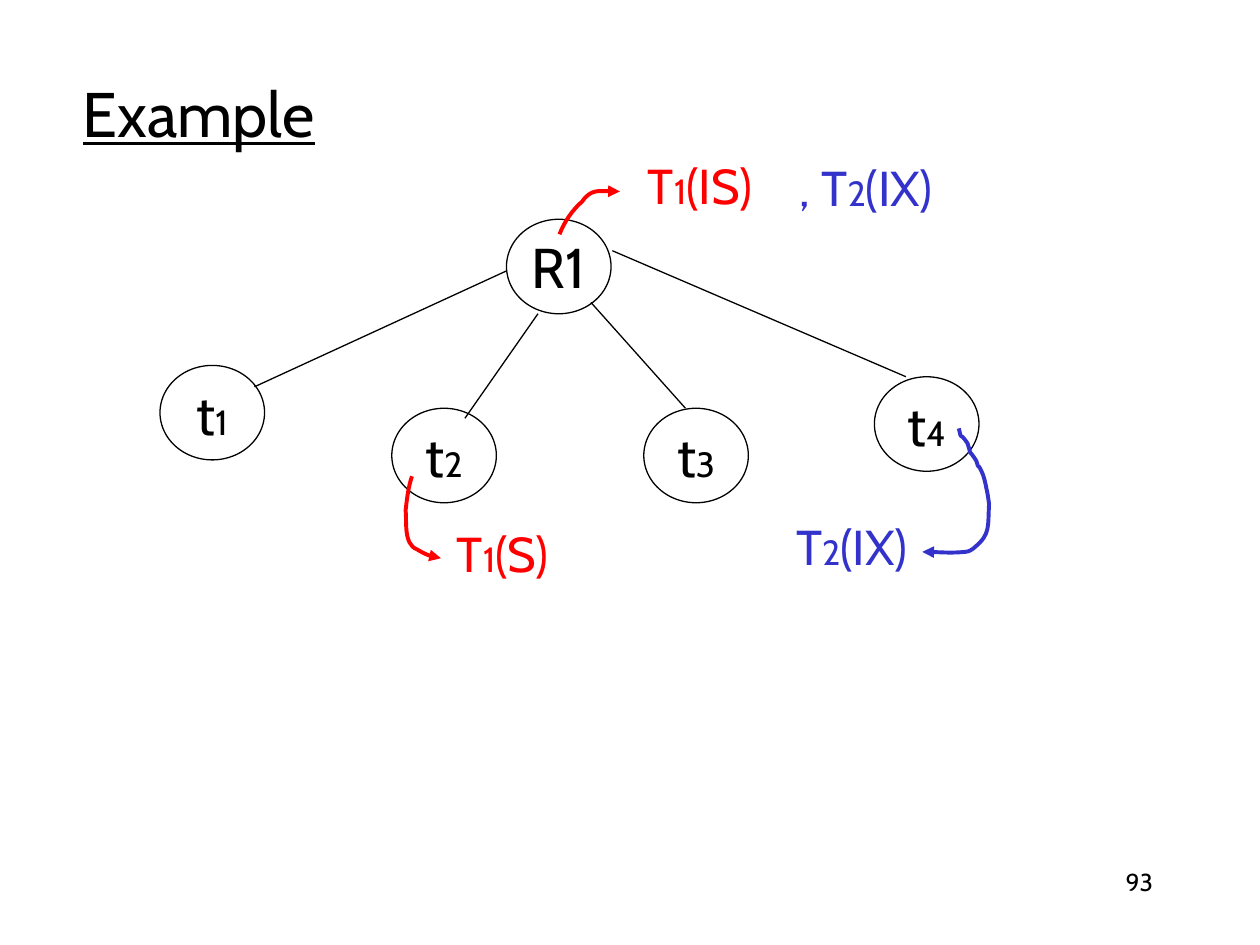
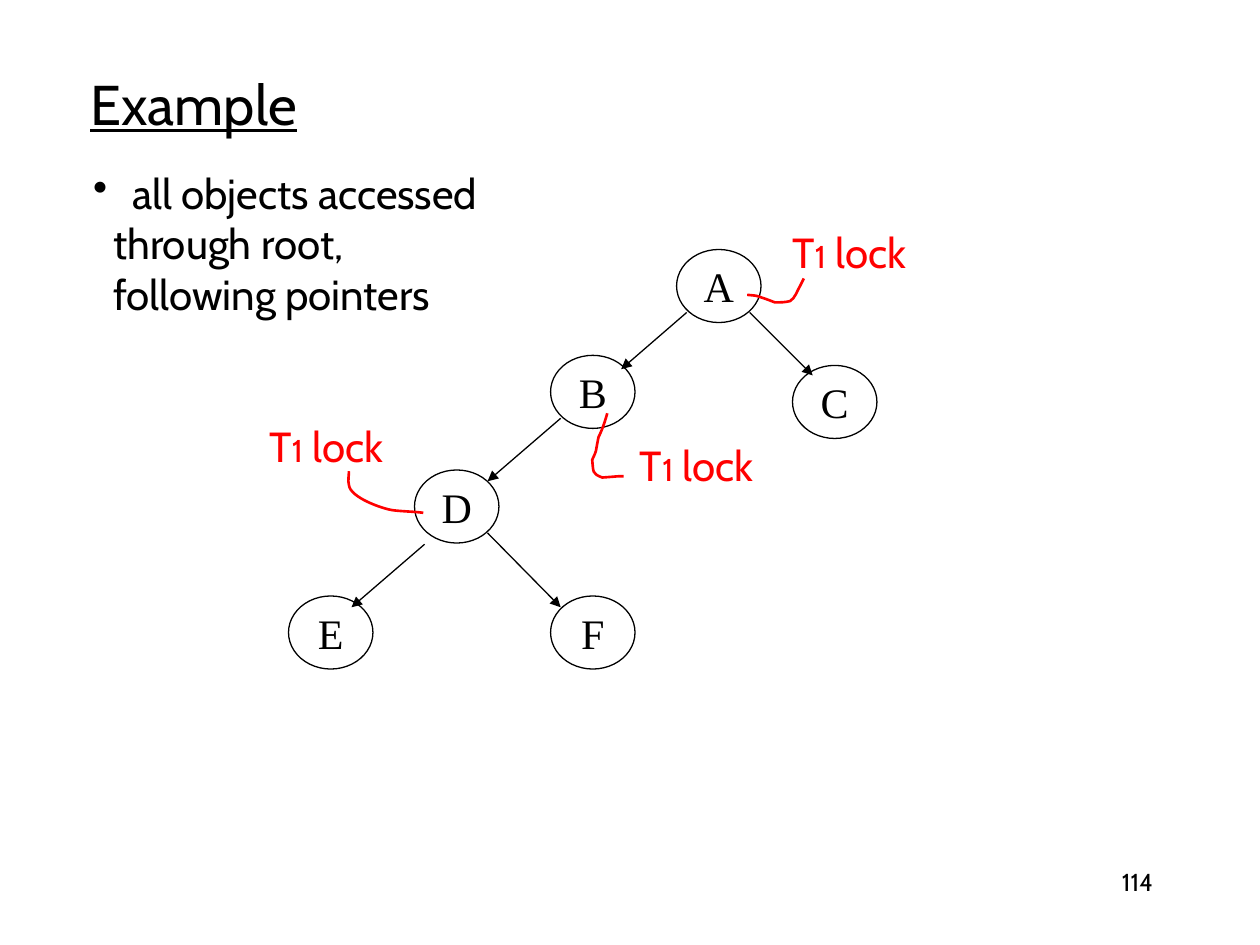
"""Two example slides on locks held in object trees."""
from dataclasses import dataclass

from lxml import etree
from pptx import Presentation
from pptx import util as u
from pptx.dml.color import RGBColor
from pptx.enum import shapes, text
from pptx.oxml.ns import qn


@dataclass(frozen=True)
class Theme:
    black: RGBColor = RGBColor(0, 0, 0)
    white: RGBColor = RGBColor(255, 255, 255)
    red: RGBColor = RGBColor(255, 0, 0)
    blue: RGBColor = RGBColor(0x33, 0x33, 0xCC)
    sans: str = "Cabin"
    serif: str = "Times New Roman"
    number_size: int = 14
    body_size: int = 24
    edge_width: float = 0.75


theme = Theme()


def write(frame, pieces, sizes, align=text.PP_ALIGN.CENTER, color=theme.black, font=theme.sans):
    """Write pieces that alternate between the base size and the subscript size."""
    paragraph = frame.paragraphs[0]
    paragraph.alignment = align
    for index, piece in enumerate(pieces):
        run = paragraph.add_run()
        run.text = piece
        run.font.size = u.Pt(sizes[index % 2])
        run.font.name = font
        run.font.color.rgb = color
    return paragraph


def style_line(shape, color, width, arrow):
    """Style an edge or pointer, without shadow and optionally with an arrowhead."""
    shape.line.color.rgb = color
    shape.line.width = u.Pt(width)
    properties = shape._element.spPr
    if arrow:
        etree.SubElement(properties.find(qn("a:ln")), qn("a:tailEnd"), type="triangle")
    etree.SubElement(properties, qn("a:effectLst"))


hierarchy = dict(
    number="93",
    title_box=(0.56, 0.43, 8.5, 0.92), title_size=36, title_anchor=text.MSO_ANCHOR.MIDDLE,
    node_size=(0.83, 0.75), node_type=(32, 20), node_font=theme.sans,
    nodes=[
        (("R1",), 4.02, 1.74),
        (("t", "1"), 1.27, 2.9),
        (("t", "2"), 3.11, 3.24),
        (("t", "3"), 5.11, 3.24),
        (("t", "4"), 6.94, 2.99),
    ],
    edges=[
        (4.02, 2.15, 2.02, 3.07),
        (4.27, 2.49, 3.69, 3.32),
        (4.69, 2.4, 5.44, 3.24),
        (4.86, 1.99, 7.19, 2.99),
    ],
    edge_arrow=False,
    label_type=(28, 20), label_height=0.57,
    labels=[
        (("T", "1", "(IS)"), 4.98, 1.18, 1.15, theme.red),
        (("T", "1", "(S)"), 3.48, 4.1, 1.02, theme.red),
        ((", T", "2", "(IX)"), 6.19, 1.2, 1.37, theme.blue),
        (("T", "2", "(IX)"), 6.18, 4.05, 1.16, theme.blue),
    ],
    pointer_width=2.25, pointer_arrow=True,
    pointers=[
        (theme.red, [(4.44, 1.86), (4.48, 1.76), (4.54, 1.67), (4.62, 1.6),
                     (4.69, 1.5), (4.81, 1.52), (4.92, 1.52)]),
        (theme.red, [(3.27, 3.78), (3.24, 3.87), (3.23, 3.96), (3.22, 4.05),
                     (3.23, 4.13), (3.2, 4.32), (3.31, 4.36),
                     (3.36, 4.39), (3.44, 4.43), (3.5, 4.43)]),
        (theme.blue, [(7.61, 3.4), (7.64, 3.52), (7.6, 3.4), (7.68, 3.52),
                      (7.69, 3.54), (7.69, 3.57), (7.7, 3.59),
                      (7.72, 3.61), (7.75, 3.66), (7.75, 3.66),
                      (7.78, 3.76), (7.74, 3.64), (7.79, 3.74),
                      (7.81, 3.78), (7.82, 3.83), (7.83, 3.88),
                      (7.84, 3.92), (7.85, 4), (7.85, 4),
                      (7.84, 4.18), (7.86, 4.24), (7.74, 4.34),
                      (7.72, 4.36), (7.69, 4.38), (7.66, 4.38),
                      (7.55, 4.39), (7.44, 4.38), (7.32, 4.38)]),
    ],
    notes=[],
)

object_tree = dict(
    number="114",
    title_box=(0.62, 0.5, 8.5, 0.79), title_size=32, title_anchor=text.MSO_ANCHOR.TOP,
    node_size=(0.67, 0.58), node_type=(24, 18), node_font=theme.serif,
    nodes=[
        ("A", 5.37, 1.98),
        ("B", 4.37, 2.82),
        ("C", 6.29, 2.9),
        ("D", 3.29, 3.73),
        ("E", 2.29, 4.73),
        ("F", 4.37, 4.73),
    ],
    edges=[
        (5.45, 2.48, 4.93, 2.93),
        (4.45, 3.32, 3.87, 3.82),
        (3.37, 4.32, 2.79, 4.82),
        (3.87, 4.23, 4.45, 4.82),
        (5.95, 2.48, 6.45, 2.98),
    ],
    edge_arrow=True,
    label_type=(24, 18), label_height=0.5,
    labels=[(("T", "1", " lock"), left, top, 1.24, theme.red)
            for left, top in [(6.12, 1.75), (4.91, 3.44), (1.97, 3.29)]],
    pointer_width=1.5, pointer_arrow=False,
    pointers=[
        (theme.red, [(5.93, 2.34), (6.02, 2.35), (5.98, 2.34), (6.07, 2.37),
                     (6.1, 2.38), (6.15, 2.4), (6.15, 2.4),
                     (6.19, 2.4), (6.23, 2.4), (6.27, 2.39),
                     (6.31, 2.37), (6.33, 2.3), (6.35, 2.27),
                     (6.37, 2.23), (6.36, 2.25), (6.38, 2.21)]),
        (theme.red, [(4.82, 3.28), (4.8, 3.35), (4.78, 3.41), (4.75, 3.47),
                     (4.72, 3.62), (4.74, 3.56), (4.7, 3.65),
                     (4.71, 3.75), (4.7, 3.76), (4.78, 3.79),
                     (4.93, 3.78), (4.88, 3.78), (4.95, 3.78)]),
        (theme.red, [(3.36, 4.07), (3.28, 4.06), (3.2, 4.06), (3.12, 4.05),
                     (3.04, 4.04), (2.78, 3.95), (2.77, 3.85),
                     (2.76, 3.81), (2.77, 3.78), (2.77, 3.74)]),
    ],
    notes=["all objects accessed", "through root,", "following pointers"],
)

deck = Presentation()
deck.slide_width, deck.slide_height = u.Inches(10), u.Inches(7.5)

for content in (hierarchy, object_tree):
    slide = deck.slides.add_slide(deck.slide_layouts[6])
    parts = slide.shapes

    number = parts.add_textbox(*map(u.Inches, (7.17, 6.83, 2.08, 0.5))).text_frame
    number.word_wrap = True
    write(number, [content["number"]], [theme.number_size], text.PP_ALIGN.RIGHT)

    title = parts.add_textbox(*map(u.Inches, content["title_box"])).text_frame
    title.word_wrap = True
    title.vertical_anchor = content["title_anchor"]
    heading = write(title, ["Example"], [content["title_size"]], text.PP_ALIGN.LEFT)
    heading.runs[0].font.underline = True

    for name, left, top in content["nodes"]:
        node = parts.add_shape(shapes.MSO_SHAPE.OVAL,
                               *map(u.Inches, (left, top, *content["node_size"])))
        node.shadow.inherit = False
        node.fill.solid()
        node.fill.fore_color.rgb = theme.white
        node.line.color.rgb = theme.black
        node.line.width = u.Pt(theme.edge_width)
        node.text_frame.word_wrap = False
        node.text_frame.vertical_anchor = text.MSO_ANCHOR.MIDDLE
        write(node.text_frame, name, content["node_type"], font=content["node_font"])

    for ends in content["edges"]:
        edge = parts.add_connector(shapes.MSO_CONNECTOR.STRAIGHT, *map(u.Inches, ends))
        style_line(edge, theme.black, theme.edge_width, content["edge_arrow"])

    if content["notes"]:
        notes = parts.add_textbox(*map(u.Inches, (0.64, 1.28, 3.47, 1.3))).text_frame
        notes.word_wrap = True
        notes.vertical_anchor = text.MSO_ANCHOR.MIDDLE
        notes.text = "\n".join(content["notes"])
        for index, note in enumerate(notes.paragraphs):
            layout = note._p.get_or_add_pPr()
            layout.set("marL", str(u.Inches(0.16 if index else 0.31)))
            layout.set("indent", str(u.Inches(0 if index else -0.31)))
            if index == 0:
                etree.SubElement(layout, qn("a:buChar"), char="•")
            note.runs[0].font.size = u.Pt(theme.body_size)
            note.runs[0].font.name = theme.sans
            note.runs[0].font.color.rgb = theme.black

    for pieces, left, top, width, color in content["labels"]:
        label = parts.add_textbox(
            *map(u.Inches, (left, top, width, content["label_height"]))).text_frame
        label.word_wrap = False
        label.vertical_anchor = text.MSO_ANCHOR.MIDDLE
        write(label, pieces, content["label_type"], color=color)

    for color, points in content["pointers"]:
        start, *rest = [(u.Inches(x), u.Inches(y)) for x, y in points]
        outline = parts.build_freeform(*start)
        outline.add_line_segments(rest, close=False)
        pointer = outline.convert_to_shape()
        pointer.fill.background()
        route = pointer._element.spPr.find(".//" + qn("a:path"))
        steps = route.findall(qn("a:lnTo"))
        for first in range(0, len(steps), 3):
            curve = etree.SubElement(route, qn("a:cubicBezTo"))
            for step in steps[first:first + 3]:
                curve.append(step[0])
                route.remove(step)
        style_line(pointer, color, content["pointer_width"], content["pointer_arrow"])

deck.save("out.pptx")
